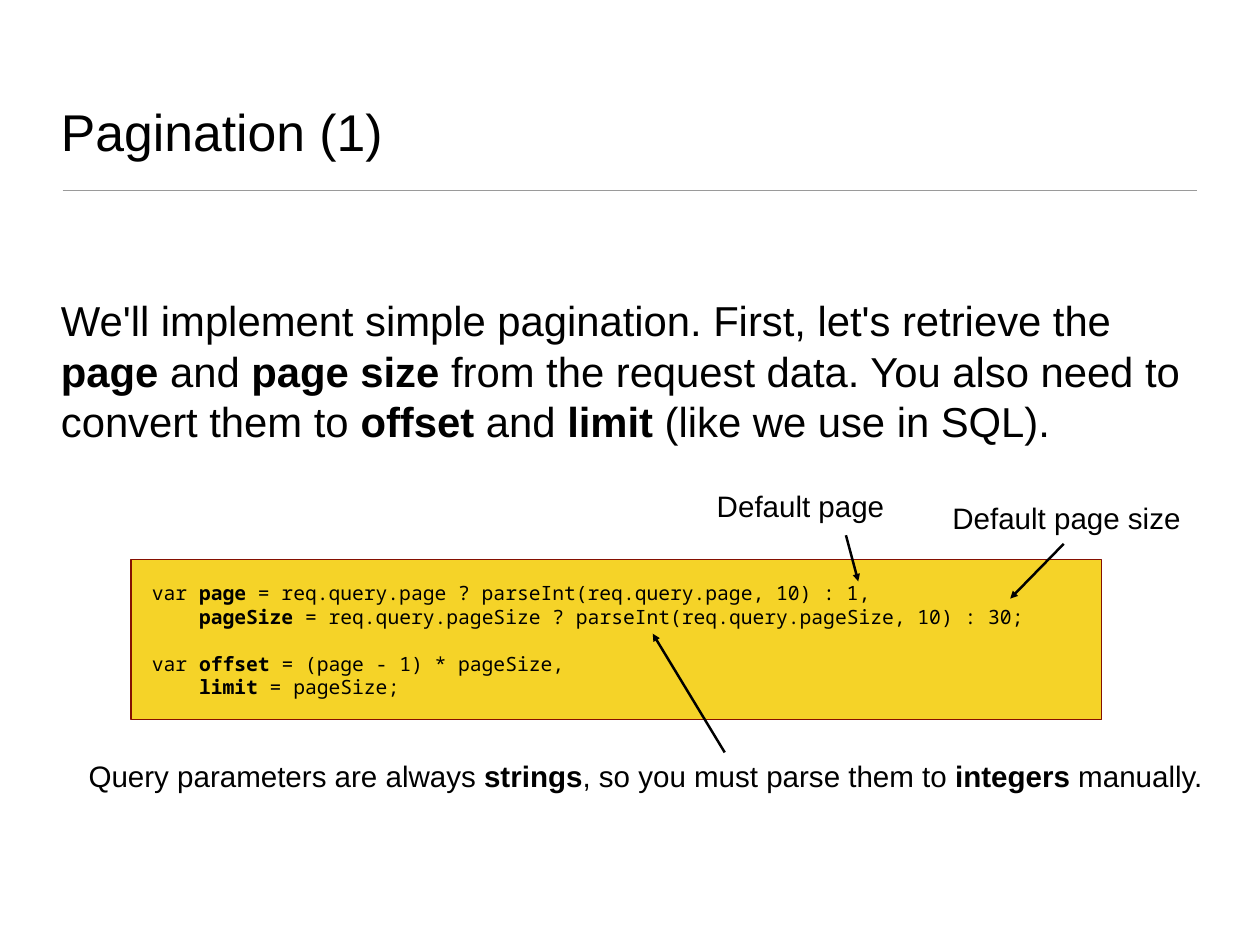
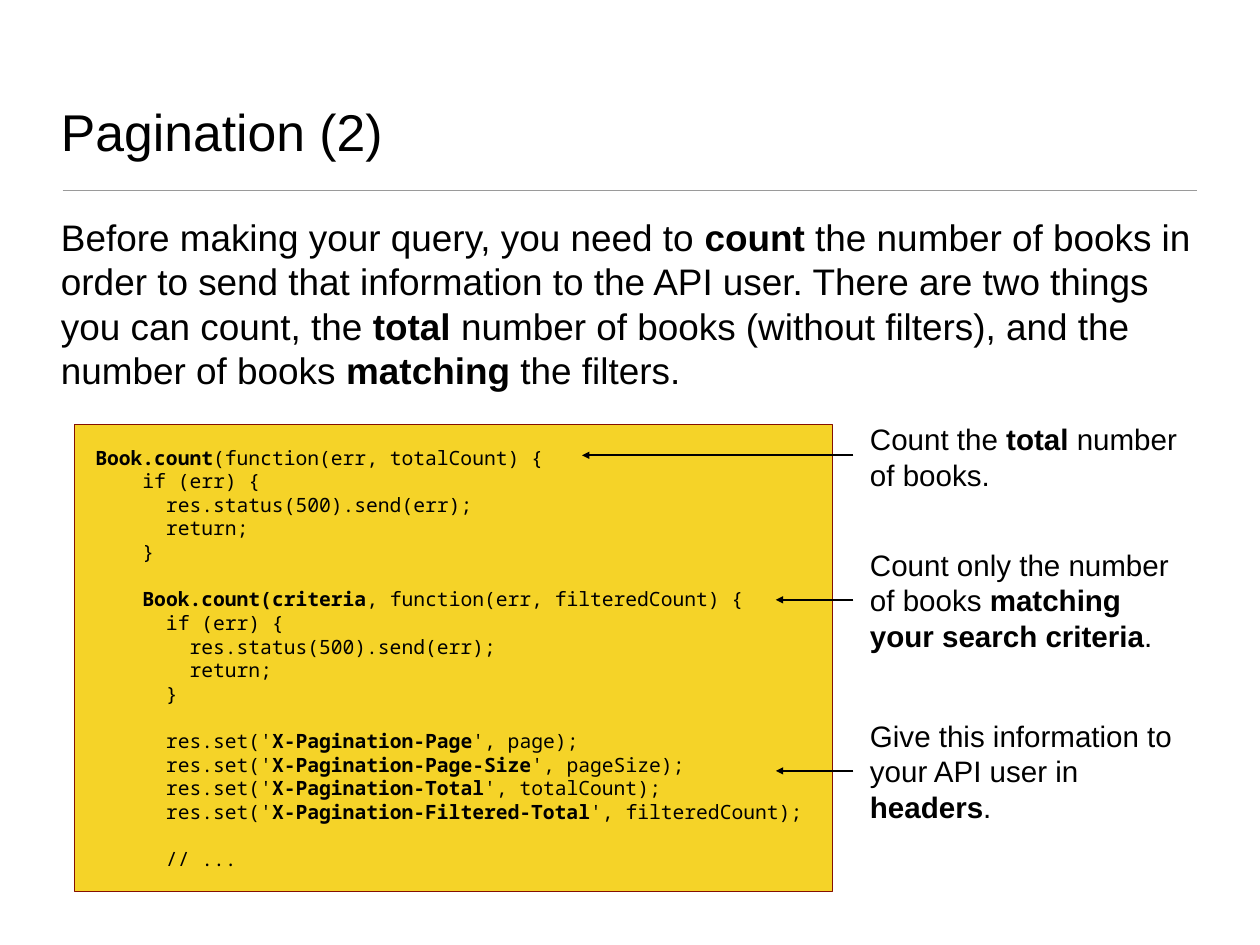
from dataclasses import dataclass

from lxml import etree
from pptx import Presentation
from pptx.dml.color import RGBColor
from pptx.enum.shapes import MSO_CONNECTOR, MSO_SHAPE
from pptx.enum.text import MSO_ANCHOR, MSO_AUTO_SIZE, PP_ALIGN
from pptx.oxml.ns import qn
from pptx.util import Pt

STRAIGHT = MSO_CONNECTOR.STRAIGHT
RECTANGLE = MSO_SHAPE.RECTANGLE
MIDDLE, BOTTOM = MSO_ANCHOR.MIDDLE, MSO_ANCHOR.BOTTOM
NO_AUTOFIT = MSO_AUTO_SIZE.NONE
LEFT = PP_ALIGN.LEFT


@dataclass(frozen=True)
class Theme:
    ink: RGBColor = RGBColor(0x00, 0x00, 0x00)
    rule: RGBColor = RGBColor(0x9A, 0x9A, 0x9A)
    code_fill: RGBColor = RGBColor(0xF5, 0xD3, 0x28)
    code_line: RGBColor = RGBColor(0x85, 0x10, 0x01)
    sans: str = "Arial"
    mono: str = "Noto Sans Mono"
    title: int = 42
    note: int = 24
    code: int = 16
    leading: float = 1.2


T = Theme()


def write(sp, text, size=T.note, font=T.sans, anchor=MIDDLE, inset=4.5):
    tf = sp.text_frame
    tf.word_wrap = True
    tf.auto_size = NO_AUTOFIT
    tf.vertical_anchor = anchor
    tf.margin_left = tf.margin_right = tf.margin_top = tf.margin_bottom = Pt(inset)
    for i, line in enumerate(text.split("\n")):
        p = tf.add_paragraph() if i else tf.paragraphs[0]
        p.alignment = LEFT
        p.line_spacing = Pt(size * T.leading)
        for j, part in enumerate(line.split("**")):
            if part:
                r = p.add_run()
                r.text = part
                r.font.name = font
                r.font.size = Pt(size)
                r.font.bold = j % 2 == 1
                r.font.color.rgb = T.ink


def draw_line(s, ends, color=T.ink, width=2, arrow=True):
    line = s.shapes.add_connector(STRAIGHT, *map(Pt, ends))
    line.line.color.rgb = color
    line.line.width = Pt(width)
    if arrow:
        etree.SubElement(line.line._get_or_add_ln(), qn("a:tailEnd"), type="triangle")
    etree.SubElement(line._element.spPr, qn("a:effectLst"))


RETRIEVE_CODE = """var **page** = req.query.page ? parseInt(req.query.page, 10) : 1,
    **pageSize** = req.query.pageSize ? parseInt(req.query.pageSize, 10) : 30;

var **offset** = (page - 1) * pageSize,
    **limit** = pageSize;"""

COUNT_CODE = """**Book.count**(function(err, totalCount) {
    if (err) {
      res.status(500).send(err);
      return;
    }

    **Book.count(criteria**, function(err, filteredCount) {
      if (err) {
        res.status(500).send(err);
        return;
      }

      res.set('**X-Pagination-Page**', page);
      res.set('**X-Pagination-Page-Size**', pageSize);
      res.set('**X-Pagination-Total**', totalCount);
      res.set('**X-Pagination-Filtered-Total**', filteredCount);

      // ..."""

NOTE_X, NOTE_W, ARROW_X = 702.5, 261.5, 693.5

SLIDES = [
    {
        "title": "Pagination (1)",
        "body": "We'll implement simple pagination. First, let's retrieve the **page** and "
                "**page size** from the request data. You also need to convert them to "
                "**offset** and **limit** (like we use in SQL).",
        "body_size": 34,
        "body_box": (45, 236, 934, 130),
        "code": RETRIEVE_CODE,
        "code_box": (106.5, 455, 789, 130),
        "notes": [
            ("Default page", (578, 392.5, 153, 37)),
            ("Default page size", (769.5, 402.5, 202, 37)),
            ("Query parameters are always **strings**, so you must parse them to "
             "**integers** manually.", (67.5, 611.5, 955, 37)),
        ],
        "arrows": [
            (687.5, 435, 697.5, 472.5),
            (864.5, 442, 821, 486.5),
            (589, 611.5, 530.5, 515),
        ],
    },
    {
        "title": "Pagination (2)",
        "body": "Before making your query, you need to **count** the number of books in order "
                "to send that information to the API user. There are two things you can count, "
                "the **total** number of books (without filters), and the number of books "
                "**matching** the filters.",
        "body_size": 30,
        "body_box": (45, 170.5, 934, 152),
        "code": COUNT_CODE,
        "code_box": (60.5, 345, 616, 379.5),
        "notes": [
            ("Count the **total** number of books.", (NOTE_X, 338.5, NOTE_W, 65.5)),
            ("Count only the number of books **matching your search criteria**.",
             (NOTE_X, 426, NOTE_W, 123)),
            ("Give this information to your API user in **headers**.",
             (NOTE_X, 579.5, NOTE_W, 94.5)),
        ],
        "arrows": [
            (ARROW_X, y, tip, y) for y, tip in ((370, 473), (487.5, 630.5), (626.5, 630.5))
        ],
    },
]

prs = Presentation()
prs.slide_width, prs.slide_height = Pt(1024), Pt(768)

for content in SLIDES:
    s = prs.slides.add_slide(prs.slide_layouts[5])
    draw_line(s, (51, 155, 973, 155), color=T.rule, width=1, arrow=False)

    title = s.shapes.title
    title.left, title.top, title.width, title.height = map(Pt, (45, 26, 934, 110))
    write(title, content["title"], size=T.title, anchor=BOTTOM)

    body = s.shapes.add_textbox(*map(Pt, content["body_box"]))
    write(body, content["body"], size=content["body_size"])

    code = s.shapes.add_shape(RECTANGLE, *map(Pt, content["code_box"]))
    code.shadow.inherit = False
    code.fill.solid()
    code.fill.fore_color.rgb = T.code_fill
    code.line.color.rgb = T.code_line
    code.line.width = Pt(1)
    write(code, content["code"], size=T.code, font=T.mono, inset=17)

    for text, box in content["notes"]:
        write(s.shapes.add_textbox(*map(Pt, box)), text)
    for ends in content["arrows"]:
        draw_line(s, ends)

prs.save("out.pptx")
